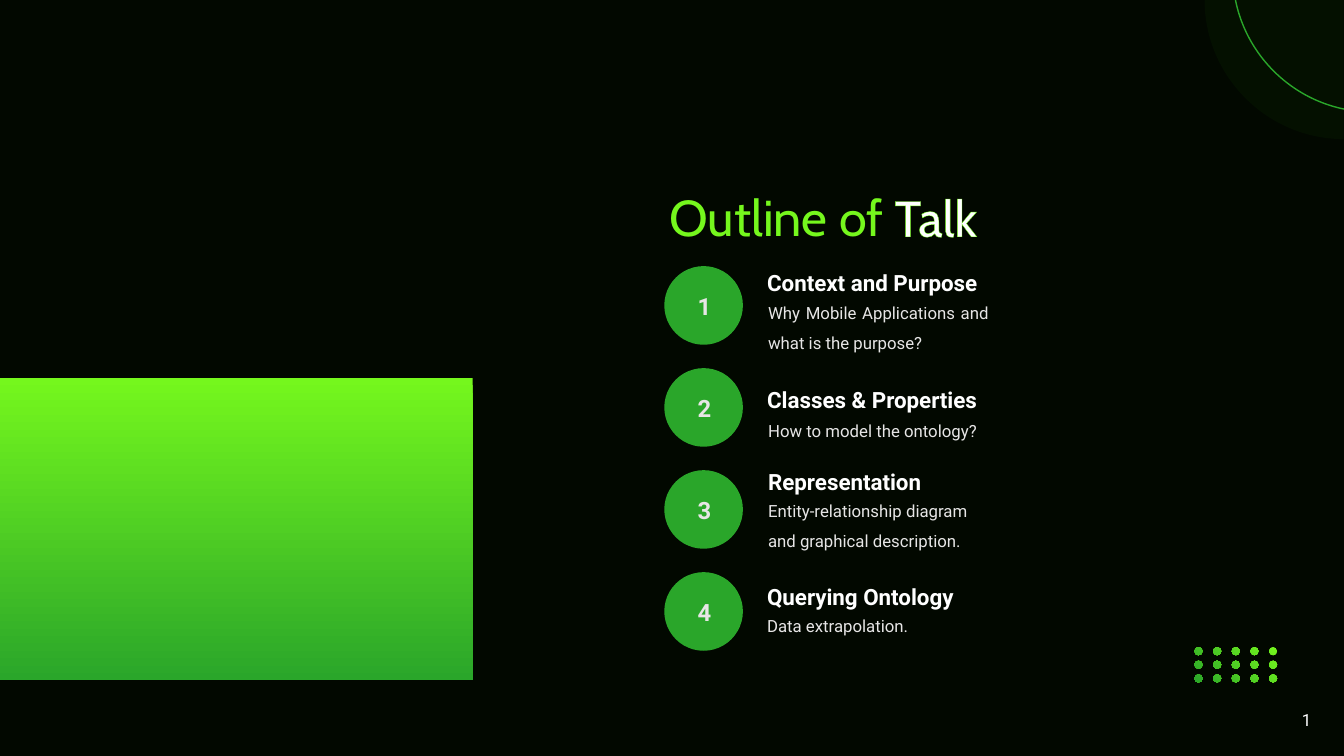
from lxml.etree import SubElement
from pptx import Presentation
from pptx.dml.color import RGBColor as Rgb
from pptx.enum.shapes import MSO_SHAPE as Kind
from pptx.enum.text import MSO_ANCHOR as Anchor
from pptx.enum.text import MSO_AUTO_SIZE as Fit
from pptx.enum.text import PP_ALIGN as Align
from pptx.oxml.ns import qn
from pptx.util import Pt

PX = 9144  # 100 px to the inch
BEND = 0.55  # handle length of a quarter circle, in radii

NIGHT = Rgb(0x02, 0x08, 0x00)
SHADE = Rgb(0x04, 0x10, 0x00)
LIME = Rgb(0x75, 0xF7, 0x1D)
GREEN = Rgb(0x2A, 0xA6, 0x2A)
WHITE = Rgb(0xFF, 0xFF, 0xFF)
PALE = Rgb(0xE7, 0xE6, 0xE6)

BODY = "Roboto"
HEAD = "Cabin"

# heading, its left, top and width; detail, its left, top, height and alignment
TOPICS = [
    ("Context and Purpose", (756, 249, 243),
     "Why Mobile Applications and what is the purpose?", (757, 285, 67), Align.JUSTIFY),
    ("Classes & Properties", (756, 365, 243),
     "How to model the ontology?", (757, 402, 37), Align.JUSTIFY),
    ("Representation", (757, 446, 198),
     "Entity-relationship diagram and graphical description.", (757, 482, 67), Align.LEFT),
    ("Querying Ontology", (756, 560, 229),
     "Data extrapolation.", (756, 596, 37), Align.JUSTIFY),
]


def emu(*sizes):
    return [round(size * PX) for size in sizes]


def blend(shape, angle):
    """Fill with lime to green; the angle runs counter-clockwise."""
    shape.fill.gradient()
    shape.fill.gradient_angle = angle
    for stop, color, place in zip(shape.fill.gradient_stops, (LIME, GREEN), (0, 1)):
        stop.color.rgb = color
        stop.position = place


def add_form(shapes, kind, box, color=None):
    form = shapes.add_shape(kind, *emu(*box))
    form.shadow.inherit = False
    form.line.fill.background()
    if color is not None:
        form.fill.solid()
        form.fill.fore_color.rgb = color
    return form


def arc(x, y, radius, quarters):
    """Start point, then two handles and an end point for each quarter."""
    points = [(x - radius, y)]
    dx, dy = -radius, 0
    for _ in range(quarters):
        nx, ny = dy, -dx
        points += [(x + dx + BEND * nx, y + dy + BEND * ny),
                   (x + nx + BEND * dx, y + ny + BEND * dy),
                   (x + nx, y + ny)]
        dx, dy = nx, ny
    return points


def curve(path):
    """Join each three lines of a ring into one curve."""
    lines = []
    for step in list(path):
        if step.tag != qn("a:lnTo"):
            lines = []
            continue
        lines.append(step)
        if len(lines) == 3:
            bend = SubElement(path, qn("a:cubicBezTo"))
            lines[0].addprevious(bend)
            for line in lines:
                bend.append(line[0])
                path.remove(line)
            lines = []


def add_path(shapes, rings):
    """Draw closed rings of curves as one outline."""
    rings = [[tuple(emu(*point)) for point in ring] for ring in rings]
    pen = shapes.build_freeform(*rings[0][0], scale=1.0)
    for i, ring in enumerate(rings):
        if i:
            pen.move_to(*ring[0])
        pen.add_line_segments(ring[1:], close=True)
    form = pen.convert_to_shape()
    curve(next(form.element.iter(qn("a:path"))))
    form.shadow.inherit = False
    form.fill.background()
    form.line.fill.background()
    return form


def add_text(shapes, box, runs, size, font=BODY, bold=False, align=Align.LEFT,
             anchor=Anchor.TOP, space=1.0, wrap=True):
    area = shapes.add_textbox(*emu(*box))
    frame = area.text_frame
    frame.word_wrap = wrap
    frame.auto_size = Fit.SHAPE_TO_FIT_TEXT
    frame.vertical_anchor = anchor
    frame.margin_left = frame.margin_right = 5 * PX
    frame.margin_top = frame.margin_bottom = 5 * PX
    para = frame.paragraphs[0]
    para.alignment = align
    para.line_spacing = space
    for text, color in runs:
        run = para.add_run()
        run.text = text
        run.font.name = font
        run.font.size = Pt(size)
        run.font.bold = bold
        run.font.color.rgb = color
    return para


def edge(run, color, width):
    """Give the letters an outline."""
    props = run.font._element
    line = SubElement(props, qn("a:ln"), w=str(Pt(width)))
    fill = SubElement(line, qn("a:solidFill"))
    SubElement(fill, qn("a:srgbClr"), val=str(color))
    props.insert(0, line)


def add_badge(slide, number, top):
    group = slide.shapes.add_group_shape()
    add_form(group.shapes, Kind.OVAL, (659, top, 78, 78), GREEN)
    add_text(group.shapes, (679, top + 20, 40, 39), [(str(number), PALE)], 17,
             bold=True, align=Align.CENTER, anchor=Anchor.MIDDLE)


def add_topic(slide, topic):
    head, (left, top, width), detail, (x, y, height), align = topic
    add_text(slide.shapes, (x, y, 229, height), [(detail, PALE)], 12,
             align=align, space=1.5)
    add_text(slide.shapes, (left, top, width, 45), [(head, WHITE)], 16,
             bold=True, align=Align.JUSTIFY, space=1.5)


def add_wedge(slide, x, y):
    return add_path(slide.shapes, [arc(x, y, 138, 1) + [(x, y)]])


def add_decor(slide):
    # Block at the left
    blend(add_form(slide.shapes, Kind.RECTANGLE, (0, 375, 469, 300)), 270)

    # Grid of dots, three rows of five
    dots = [arc(1189 + 18.5 * col, 646 + 13.5 * row, 4, 4)
            for row in range(3) for col in range(5)]
    blend(add_path(slide.shapes, dots), 225)

    # Quarter discs in the corner
    disc = add_wedge(slide, 1333, 0)
    disc.fill.solid()
    disc.fill.fore_color.rgb = SHADE
    rim = add_wedge(slide, 1361, -27)
    rim.line.color.rgb = GREEN
    rim.line.width = Pt(1)


def main():
    deck = Presentation()
    deck.slide_width, deck.slide_height = emu(1333.33, 750)
    slide = deck.slides.add_slide(deck.slide_layouts[6])
    slide.background.fill.solid()
    slide.background.fill.fore_color.rgb = NIGHT
    add_decor(slide)

    # Title
    title = add_text(slide.shapes, (659, 180, 451, 71),
                     [("Outline of ", LIME), ("Talk", WHITE)], 36, HEAD)
    for run in title.runs:
        edge(run, LIME, 0.75)

    # Numbered topics
    for i, topic in enumerate(TOPICS):
        add_badge(slide, i + 1, 264 + 101.2 * i)
        add_topic(slide, topic)

    # Page number
    add_text(slide.shapes, (995, 694, 311, 40), [("1", WHITE)], 12,
             align=Align.RIGHT, anchor=Anchor.MIDDLE, wrap=False)
    deck.save("out.pptx")


if __name__ == "__main__":
    main()
